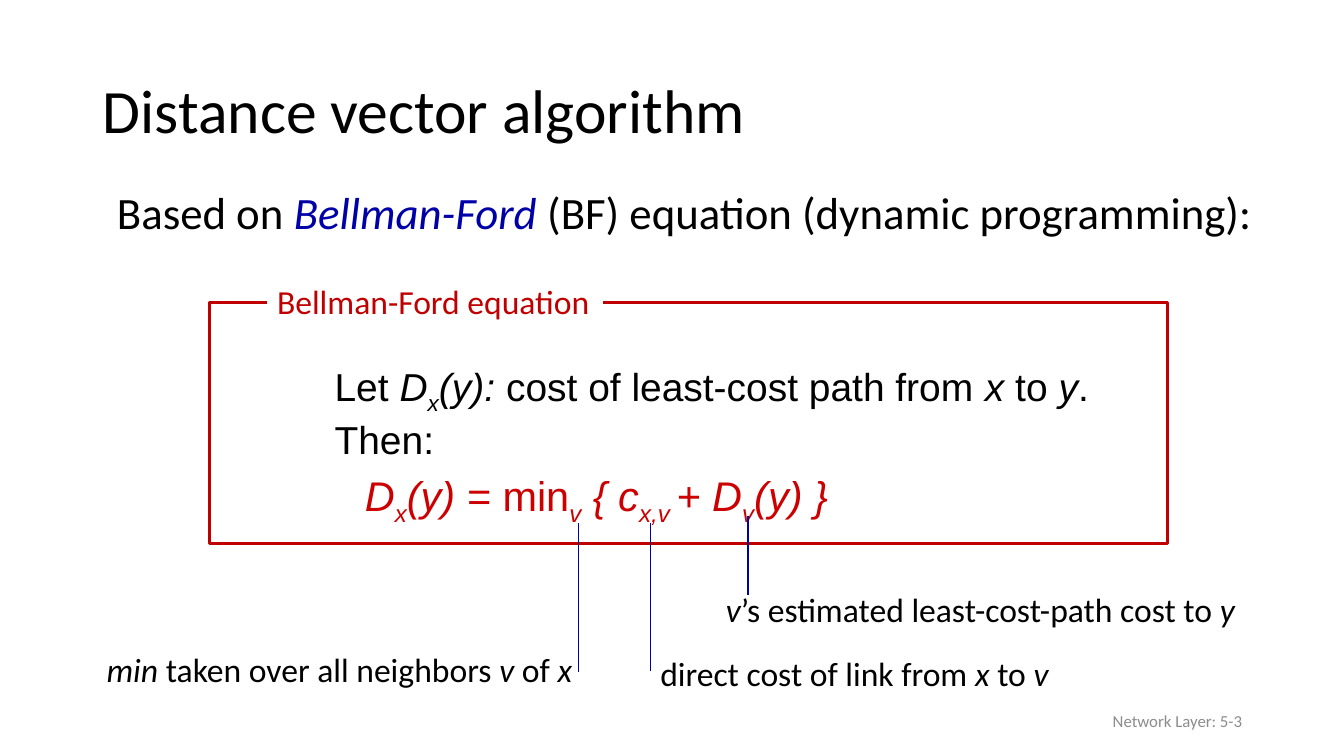
from lxml import etree
from pptx import Presentation
from pptx import util as u
from pptx.dml.color import RGBColor
from pptx.enum import shapes, text
from pptx.oxml.ns import qn

BLACK = RGBColor(0x00, 0x00, 0x00)
WHITE = RGBColor(0xFF, 0xFF, 0xFF)
GREY = RGBColor(0x8C, 0x8C, 0x8C)
BLUE = RGBColor(0x00, 0x00, 0xA8)
FRAME_RED = RGBColor(0xC0, 0x00, 0x00)
FORMULA_RED = RGBColor(0xCC, 0x00, 0x00)

MIDDLE = text.MSO_ANCHOR.MIDDLE
LEFT, RIGHT = text.PP_ALIGN.LEFT, text.PP_ALIGN.RIGHT
FIT = text.MSO_AUTO_SIZE.SHAPE_TO_FIT_TEXT
TIGHT = {"line_spacing": 0.8, "space_before": u.Pt(10)}


def place(shape, at):
    for name, value in zip(("left", "top", "width", "height"), at):
        setattr(shape, name, u.Inches(value))


def apply(target, values):
    for name, value in values.items():
        setattr(target, name, value)


class EquationSlide:
    def __init__(self, page, font="Calibri"):
        self.page = page
        self.font = font

    def add_spans(self, para, spans, size, color=BLACK, font=None, **layout):
        """Fill a paragraph with (words, marks, colour) spans; marks: i italic, s subscript."""
        apply(para, {"alignment": LEFT, **layout})
        for words, marks, *own_color in spans:
            span = para.add_run()
            span.text = words
            apply(span.font, {"name": font or self.font, "size": u.Pt(size),
                              "bold": False, "italic": "i" in marks})
            span.font.color.rgb = own_color[0] if own_color else color
            if "s" in marks:
                span.font._element.set("baseline", "-25000")

    def indent(self, para, first):
        """Start a paragraph's first line at an inset, without a bullet."""
        props = para._p.get_or_add_pPr()
        props.set("marL", str(u.Inches(first)))
        props.set("indent", "0")
        etree.SubElement(props, qn("a:buNone"))

    def holder(self, box, at, spans, size, anchor, **layout):
        place(box, at)
        apply(box.text_frame, {"vertical_anchor": anchor, "word_wrap": True,
                               "auto_size": text.MSO_AUTO_SIZE.NONE})
        self.add_spans(box.text_frame.paragraphs[0], spans, size, **layout)
        return box.text_frame.paragraphs[0]

    def text_box(self, at, **frame):
        box = self.page.shapes.add_textbox(*map(u.Inches, at))
        apply(box.text_frame, {"word_wrap": True, **frame})
        return box.text_frame

    def rectangle(self, at, fill=None, line=None):
        box = self.page.shapes.add_shape(shapes.MSO_SHAPE.RECTANGLE, *map(u.Inches, at))
        box.shadow.inherit = False
        if fill is None:
            box.fill.background()
        else:
            box.fill.solid()
            box.fill.fore_color.rgb = fill
        if line is None:
            box.line.fill.background()
        else:
            box.line.color.rgb = line
            box.line.width = u.Pt(2)
        return box

    def pointer(self, x, top, bottom):
        line = self.page.shapes.add_connector(
            shapes.MSO_CONNECTOR.STRAIGHT, *map(u.Inches, (x, top, x, bottom)))
        line.line.color.rgb = BLUE
        line.line.width = u.Pt(1)
        etree.SubElement(line._element.spPr, qn("a:effectLst"))

    def callout(self, at, spans, x, top, bottom):
        """Explain one term of the formula, with a vertical line up to it."""
        frame = self.text_box(at, word_wrap=False, auto_size=FIT)
        self.add_spans(frame.paragraphs[0], spans, 24)
        self.pointer(x, top, bottom)


def main():
    deck = Presentation()
    deck.slide_width, deck.slide_height = u.Inches(13.33), u.Inches(7.5)
    page = deck.slides.add_slide(deck.slide_layouts[1])
    slide = EquationSlide(page)

    slide.holder(page.shapes.title, (0.92, 0.4, 11.5, 1.45),
                 [("Distance vector algorithm", "")], 44, MIDDLE, line_spacing=0.9)
    intro = slide.holder(
        page.placeholders[1], (0.92, 1.89, 11.83, 0.57),
        [("Based on ", ""), ("Bellman-Ford", "i", BLUE),
         (" (BF) equation (dynamic programming):", "")],
        32, text.MSO_ANCHOR.TOP, **TIGHT)
    slide.indent(intro, 0.14)

    footer = slide.text_box((9.42, 6.95, 3, 0.4), vertical_anchor=MIDDLE)
    slide.add_spans(footer.paragraphs[0], [("Network Layer: 5-3", "")], 12, GREY,
                    alignment=RIGHT)

    lines = [
        (0.15, 27.8, BLACK,
         [("Let ", ""), ("D", "i"), ("x", "is"), ("(y): ", "i"),
          ("cost of least-cost path from ", ""), ("x", "i"), (" to ", ""),
          ("y", "i"), (".", "")]),
        (0.15, 27.8, BLACK, [("Then:", "")]),
        (0.45, 29.6, FORMULA_RED,
         [("D", "i"), ("x", "is"), ("(y) = ", "i"), ("min", ""), ("v", "is"),
          (" { c", "i"), ("x,v ", "is"), ("+ D", "i"), ("v", "is"), ("(y) }", "i")]),
    ]
    equation = slide.text_box((3.07, 3.6, 8.7, 2.16))
    for number, (first, size, color, spans) in enumerate(lines):
        para = equation.add_paragraph() if number else equation.paragraphs[0]
        slide.add_spans(para, spans, size, color, "Arial", **TIGHT)
        slide.indent(para, first)

    slide.rectangle((2.08, 3, 9.5, 2.39), line=FRAME_RED)
    label = slide.rectangle((2.65, 2.74, 3.33, 0.5), fill=WHITE).text_frame
    apply(label, {"word_wrap": False, "auto_size": FIT,
                  "vertical_anchor": text.MSO_ANCHOR.TOP})
    slide.add_spans(label.paragraphs[0], [("Bellman-Ford equation", "")], 24, FRAME_RED)

    slide.callout((0.96, 6.39, 4.86, 0.5),
                  [("min", "i"), (" taken over all neighbors", ""), (" v ", "i"),
                   ("of ", ""), ("x", "i")], 5.74, 5.19, 6.67)
    slide.callout((7.1, 5.79, 5.31, 0.5),
                  [("v", "i"), ("’s estimated least-cost-path cost to ", ""), ("y", "i")],
                  7.42, 5.12, 5.9)
    slide.callout((6.45, 6.43, 4.08, 0.5),
                  [("direct cost of link from", ""), (" x ", "i"), ("to ", ""), ("v", "i")],
                  6.45, 5.19, 6.66)

    deck.save("out.pptx")


if __name__ == "__main__":
    main()
